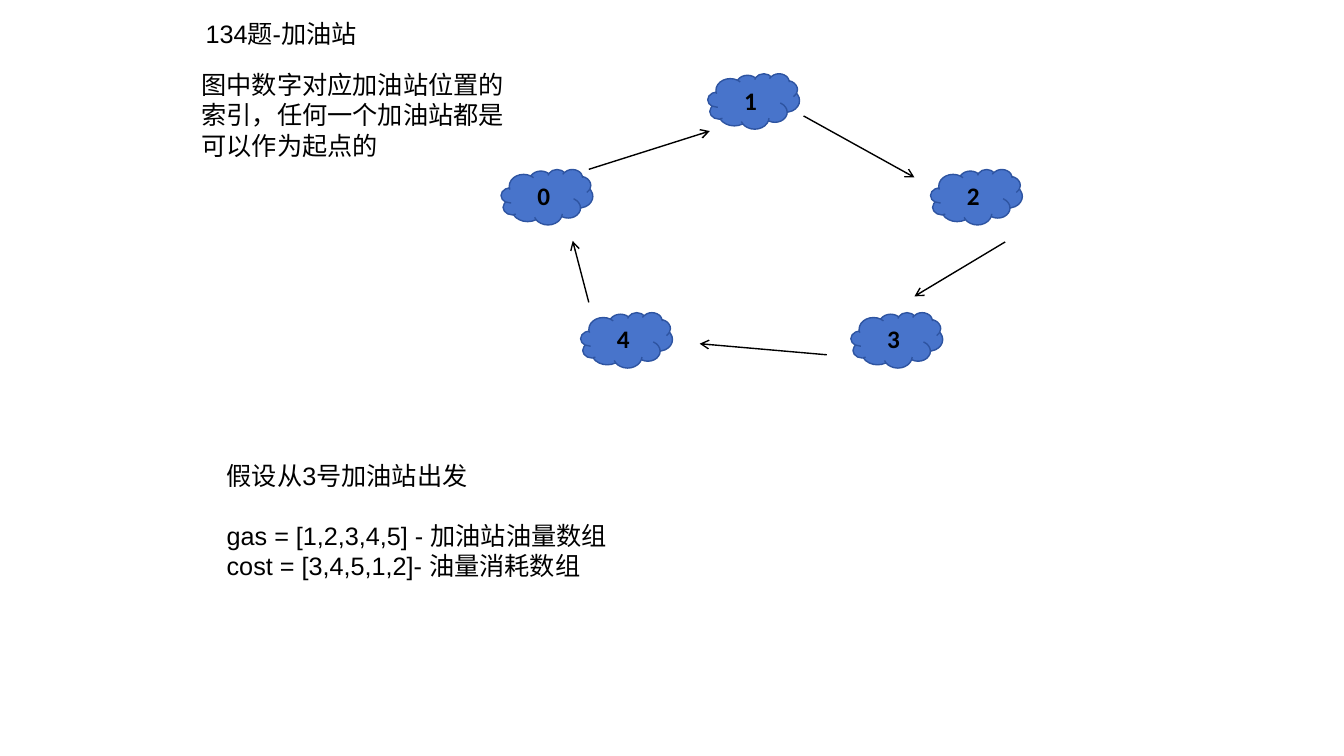
from lxml.etree import SubElement
from pptx import Presentation
from pptx.dml.color import RGBColor
from pptx.enum.shapes import MSO_CONNECTOR, MSO_SHAPE
from pptx.enum.text import MSO_ANCHOR, PP_ALIGN
from pptx.oxml.ns import qn
from pptx.util import Pt

PX = 9144  # 100 px to the inch
BLACK, BLUE, NAVY = "000000", "4874CB", "2E54A1"
BODY = {"name": "Arial", "size": Pt(18)}
LABEL = {"name": "Calibri", "size": Pt(18), "bold": True}

CLOUD = (91, 55)
STOPS = [(497, 168), (702, 73), (923, 168), (844, 310), (576, 310)]
ROADS = [
    (584, 168, 704, 130),
    (797, 115, 907, 176),
    (997, 240, 907, 294),
    (820, 352, 694, 341),
    (584, 300, 568, 239),
]
TITLE = "134题-加油站"
NOTE = "图中数字对应加油站位置的索引，任何一个加油站都是可以作为起点的"
START = "假设从3号加油站出发"
GAS = "gas = [1,2,3,4,5] - 加油站油量数组"
COST = "cost = [3,4,5,1,2]- 油量消耗数组"


def emu(*nums):
    return [num * PX for num in nums]


def color(code):
    return RGBColor.from_string(code)


def style(item, form):
    for key, val in form.items():
        setattr(item, key, val)


def write(para, text, form):
    run = para.add_run()
    run.text = text
    style(run.font, form)
    run.font.color.rgb = color(BLACK)


def add_text(slide, box, lines):
    """Add a text box; lines pairs each text with its space before in points."""
    frame = slide.shapes.add_textbox(*emu(*box)).text_frame
    frame.word_wrap = True
    for num, (text, gap) in enumerate(lines):
        para = frame.add_paragraph() if num else frame.paragraphs[0]
        para.space_before = Pt(gap)
        write(para, text, BODY)


def add_cloud(slide, spot, label):
    cloud = slide.shapes.add_shape(MSO_SHAPE.CLOUD, *emu(*spot, *CLOUD))
    cloud.shadow.inherit = False
    cloud.fill.solid()
    cloud.fill.fore_color.rgb = color(BLUE)
    cloud.line.color.rgb = color(NAVY)
    cloud.line.width = Pt(1)
    frame = cloud.text_frame
    frame.vertical_anchor = MSO_ANCHOR.MIDDLE
    para = frame.paragraphs[0]
    para.alignment = PP_ALIGN.CENTER
    write(para, label, LABEL)


def add_arrow(slide, ends):
    arrow = slide.shapes.add_connector(MSO_CONNECTOR.STRAIGHT, *emu(*ends))
    arrow.line.color.rgb = color(BLACK)
    arrow.line.width = Pt(1)
    props = arrow.element.spPr
    SubElement(props.find(qn("a:ln")), qn("a:tailEnd"), type="arrow")
    SubElement(props, qn("a:effectLst"))


def main():
    deck = Presentation()
    deck.slide_width, deck.slide_height = emu(1333, 750)
    slide = deck.slides.add_slide(deck.slide_layouts[6])
    add_text(slide, (194, 13, 397, 40), [(TITLE, 0)])
    for num, spot in enumerate(STOPS):
        add_cloud(slide, spot, str(num))
    add_text(slide, (215, 452, 874, 173), [(START, 0), (GAS, 21), (COST, 0)])
    add_text(slide, (190, 64, 327, 101), [(NOTE, 0)])
    for ends in ROADS:
        add_arrow(slide, ends)
    deck.save("out.pptx")


if __name__ == "__main__":
    main()
